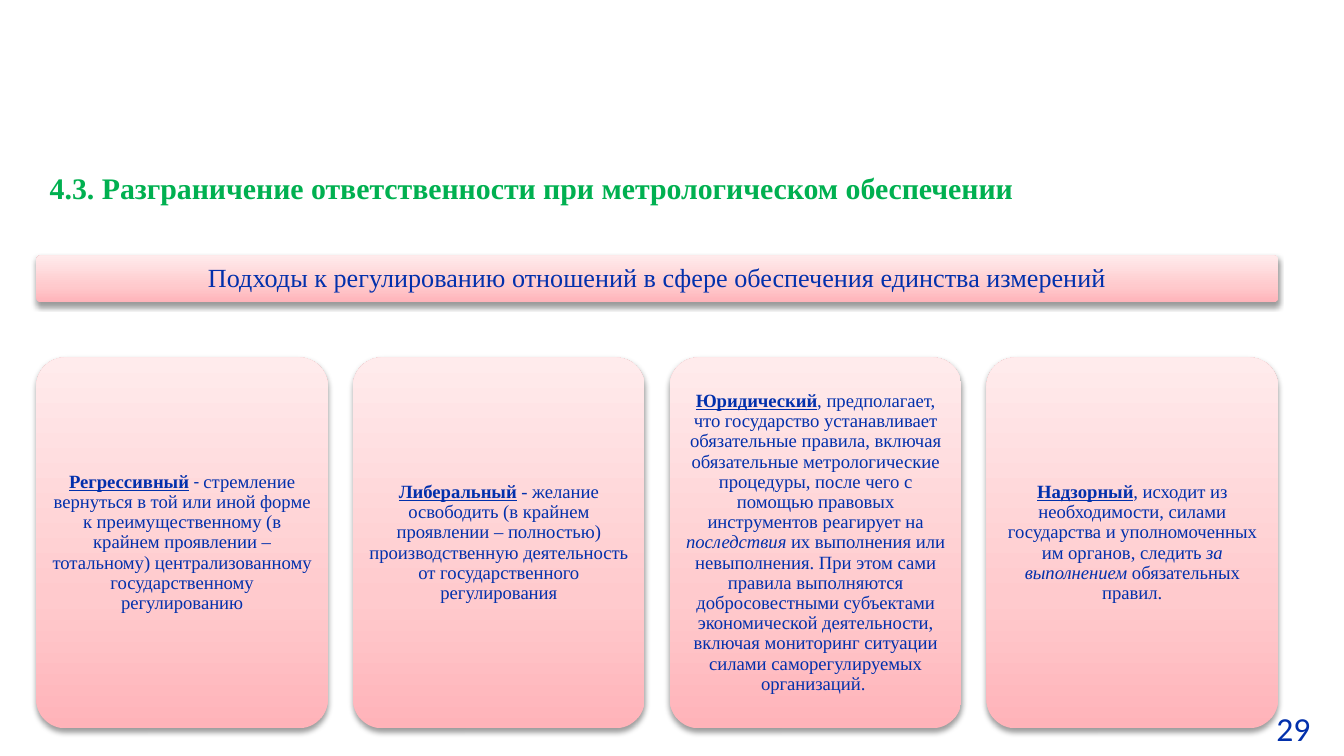
from copy import deepcopy
from dataclasses import dataclass

from lxml import etree
from pptx import Presentation
from pptx.dml.color import RGBColor
from pptx.enum.shapes import MSO_SHAPE
from pptx.enum.text import MSO_ANCHOR, MSO_AUTO_SIZE, PP_ALIGN
from pptx.oxml.ns import qn
from pptx.util import Inches, Pt

ROUNDED = MSO_SHAPE.ROUNDED_RECTANGLE
TOP, MIDDLE = MSO_ANCHOR.TOP, MSO_ANCHOR.MIDDLE
CENTER, JUSTIFY, RIGHT = PP_ALIGN.CENTER, PP_ALIGN.JUSTIFY, PP_ALIGN.RIGHT
NO_AUTOFIT = MSO_AUTO_SIZE.NONE

WHITE = RGBColor(0xFF, 0xFF, 0xFF)
BLACK = RGBColor(0, 0, 0)
BLUE = RGBColor(0x02, 0x30, 0xAC)
GREEN = RGBColor(0x00, 0xB0, 0x50)
PINK_STOPS = (
    (0, RGBColor(0xFF, 0xB3, 0xB9)),
    (0.35, RGBColor(0xFF, 0xCA, 0xCD)),
    (1, RGBColor(0xFF, 0xEB, 0xEC)),
)
SERIF, SANS = "Times New Roman", "Calibri"

SLIDE_WIDTH = 10
SLIDE_HEIGHT = SLIDE_WIDTH * 9 / 16
LEFT, CONTENT_WIDTH = 0.27, 9.24
CARD_TOP, CARD_WIDTH, CARD_HEIGHT = 2.66, 2.17, 2.76


@dataclass(frozen=True)
class Span:
    text: str
    bold: bool = False
    italic: bool = False
    underline: bool = False
    font: str = SERIF


@dataclass(frozen=True)
class Approach:
    name: str
    description: tuple[Span, ...]


APPROACHES = (
    Approach("Регрессивный", (
        Span(" "),
        Span("- ", font=SANS),
        Span("стремление вернуться в той или иной форме к преимущественному "
             "(в крайнем проявлении – тотальному) централизованному "
             "государственному регулированию"),
    )),
    Approach("Либеральный", (
        Span(" - желание освободить (в крайнем проявлении – полностью) "
             "производственную деятельность от государственного регулирования"),
    )),
    Approach("Юридический", (
        Span(", предполагает, что государство устанавливает обязательные "
             "правила, включая обязательные метрологические процедуры, после "
             "чего с помощью правовых инструментов реагирует на "),
        Span("последствия", italic=True),
        Span(" их выполнения или невыполнения. При этом сами правила "
             "выполняются добросовестными субъектами экономической "
             "деятельности, включая мониторинг ситуации силами "
             "саморегулируемых организаций. "),
    )),
    Approach("Надзорный", (
        Span(", исходит из необходимости, силами государства и "
             "уполномоченных им органов, следить "),
        Span("за выполнением", italic=True),
        Span(" обязательных правил."),
    )),
)


def write(shape, *spans: Span, size: float, color: RGBColor = BLUE,
          align=CENTER, anchor=MIDDLE, line_spacing: float = 0.9,
          inset_x: float = 0.1, inset_y: float = 0.05) -> None:
    frame = shape.text_frame
    frame.word_wrap = True
    frame.auto_size = NO_AUTOFIT
    frame.vertical_anchor = anchor
    frame.margin_left = frame.margin_right = Inches(inset_x)
    frame.margin_top = frame.margin_bottom = Inches(inset_y)
    paragraph = frame.paragraphs[0]
    paragraph.alignment = align
    paragraph.line_spacing = line_spacing
    for span in spans:
        run = paragraph.add_run()
        run.text = span.text
        run.font.name = span.font
        run.font.size = Pt(size)
        run.font.color.rgb = color
        run.font.bold = span.bold
        run.font.italic = span.italic
        run.font.underline = span.underline


def add_soft_shadow(shape) -> None:
    shape.shadow.inherit = False
    effects = shape._element.spPr.find(qn("a:effectLst"))
    shadow = etree.SubElement(
        effects, qn("a:outerShdw"), blurRad=str(Pt(3.1)), dist=str(Pt(1.6)),
        dir="5400000", rotWithShape="0")
    color = etree.SubElement(shadow, qn("a:srgbClr"), val=str(BLACK))
    etree.SubElement(color, qn("a:alpha"), val="38000")


def add_panel(slide, left: float, top: float, width: float, height: float):
    """Add a rounded pink panel that grows lighter towards its top."""
    panel = slide.shapes.add_shape(
        ROUNDED, Inches(left), Inches(top), Inches(width), Inches(height))
    panel.adjustments[0] = 0.1
    panel.fill.gradient()
    panel.fill.gradient_angle = 90
    stop_list = panel._element.spPr.find(".//" + qn("a:gsLst"))
    stop_list.append(deepcopy(stop_list[0]))
    for stop, (position, color) in zip(panel.fill.gradient_stops, PINK_STOPS):
        stop.position = position
        stop.color.rgb = color
    panel.line.fill.background()
    add_soft_shadow(panel)
    return panel


def add_approach(slide, approach: Approach, left: float) -> None:
    card = add_panel(slide, left, CARD_TOP, CARD_WIDTH, CARD_HEIGHT)
    name = Span(approach.name, bold=True, underline=True)
    write(card, name, *approach.description, size=10,
          inset_x=0.04, inset_y=0.04)


def main() -> None:
    presentation = Presentation()
    presentation.slide_width = Inches(SLIDE_WIDTH)
    presentation.slide_height = Inches(SLIDE_HEIGHT)
    slide = presentation.slides.add_slide(presentation.slide_layouts[5])

    title = slide.shapes.title
    title.left, title.top = Inches(LEFT), Inches(1.08)
    title.width, title.height = Inches(9.49), Inches(0.5)
    title.fill.solid()
    title.fill.fore_color.rgb = WHITE
    write(title,
          Span("4.3. Разграничение ответственности при метрологическом "
               "обеспечении", bold=True),
          size=16, color=GREEN, align=JUSTIFY, anchor=TOP, line_spacing=1.5)

    banner = add_panel(slide, LEFT, 1.9, CONTENT_WIDTH, 0.35)
    write(banner,
          Span("Подходы к регулированию отношений в сфере обеспечения "
               "единства измерений"),
          size=14, inset_x=0.06, inset_y=0.06)

    pitch = (CONTENT_WIDTH - CARD_WIDTH) / (len(APPROACHES) - 1)
    for index, approach in enumerate(APPROACHES):
        add_approach(slide, approach, LEFT + index * pitch)

    page_number = slide.shapes.add_textbox(
        Inches(9.17), Inches(5.22), Inches(0.81), Inches(0.4))
    write(page_number, Span("29", font=SANS), size=18, align=RIGHT,
          anchor=TOP, line_spacing=1.0, inset_x=0.23)

    presentation.save("out.pptx")


if __name__ == "__main__":
    main()
